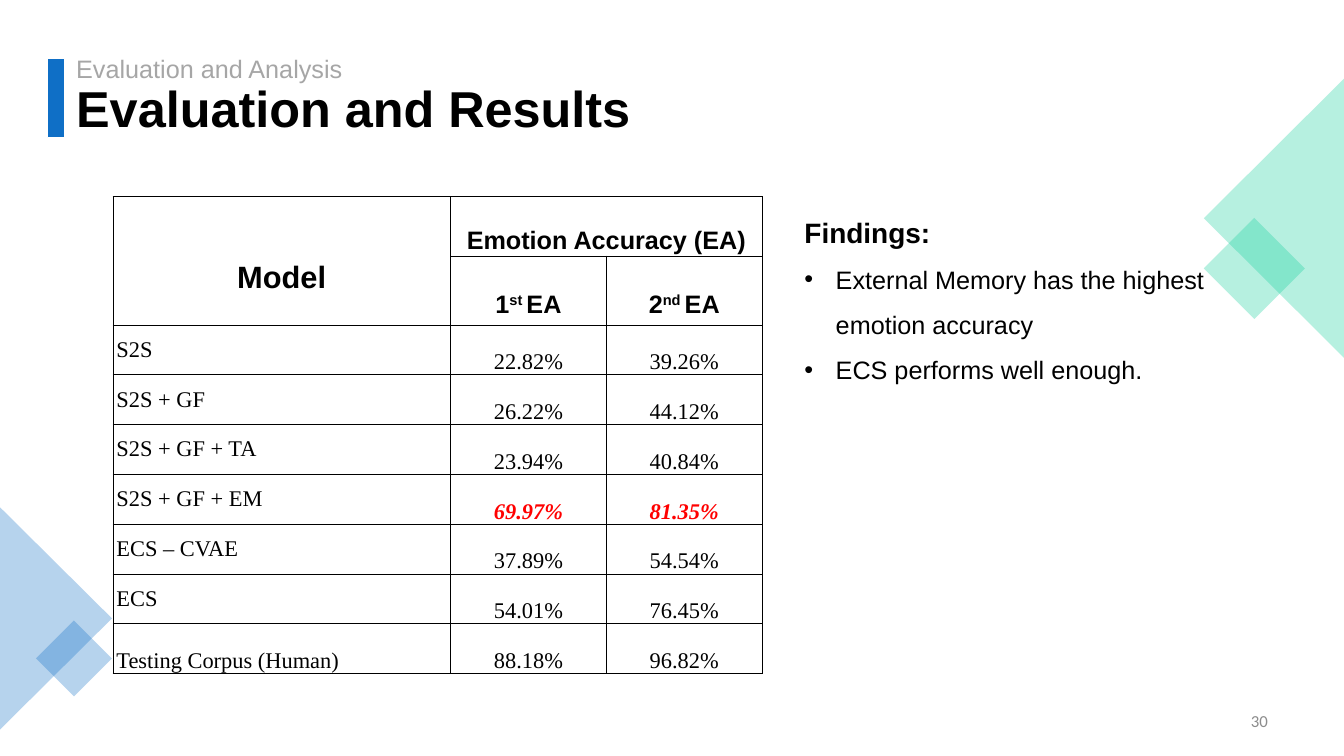
from dataclasses import dataclass

from lxml import etree
from pptx import Presentation
from pptx import util as u
from pptx.dml.color import RGBColor
from pptx.enum import shapes, text
from pptx.oxml.ns import qn


@dataclass(frozen=True)
class Theme:
    blue: str = "0F6FC6"
    green: str = "10CF9B"
    black: str = "000000"
    white: str = "FFFFFF"
    muted: str = "A6A6A6"
    faint: str = "8C8C8C"
    best: str = "FF0000"
    sans: str = "Arial"
    serif: str = "Times New Roman"
    footer: str = "Calibri"
    title: int = 72
    model: int = 44
    heading: int = 40
    body: int = 36
    data: int = 32
    number: int = 24


THEME = Theme()
CENTER, RIGHT = text.PP_ALIGN.CENTER, text.PP_ALIGN.RIGHT
MIDDLE, BOTTOM = text.MSO_ANCHOR.MIDDLE, text.MSO_ANCHOR.BOTTOM
RESULTS = [
    ("S2S", "22.82%", "39.26%"),
    ("S2S + GF", "26.22%", "44.12%"),
    ("S2S + GF + TA", "23.94%", "40.84%"),
    ("S2S + GF + EM", "69.97%", "81.35%"),
    ("ECS – CVAE", "37.89%", "54.54%"),
    ("ECS", "54.01%", "76.45%"),
    ("Testing Corpus (Human)", "88.18%", "96.82%"),
]
BEST_MODEL = "S2S + GF + EM"


@dataclass(frozen=True)
class Box:
    left: int
    top: int
    width: int
    height: int

    def share(self, left, top, width, height):
        return Box(
            int(self.left + self.width * left / 100),
            int(self.top + self.height * top / 100),
            int(self.width * width / 100),
            int(self.height * height / 100),
        )

    def centred(self, across, down, width, height):
        middle = self.share(across, down, 0, 0)
        return Box(int(middle.left - width / 2), int(middle.top - height / 2), int(width), int(height))

    def frame(self):
        return self.left, self.top, self.width, self.height


def add_span(para, words, size, color=THEME.black, font=THEME.sans, bold=False, italic=False, raised=False):
    span = para.add_run()
    span.text = words
    span.font.size = u.Pt(size)
    span.font.name = font
    span.font.bold = bold
    span.font.italic = italic
    span.font.color.rgb = RGBColor.from_string(color)
    if raised:
        span._r.get_or_add_rPr().set("baseline", "30000")


def add_block(page, kind, box, color, rotation=0, opacity=100):
    block = page.shapes.add_shape(kind, *box.frame())
    block.shadow.inherit = False
    block.rotation = rotation
    block.fill.solid()
    block.fill.fore_color.rgb = RGBColor.from_string(color)
    block.line.fill.background()
    if opacity < 100:
        tint = block._element.spPr.find(qn("a:solidFill"))[0]
        etree.SubElement(tint, qn("a:alpha")).set("val", str(opacity * 1000))
    return block


def add_header(page, box):
    title = page.shapes.title
    title.left, title.top, title.width, title.height = box.share(1.93, 0, 98.07, 100).frame()
    frame = title.text_frame
    frame.word_wrap = True
    frame.auto_size = text.MSO_AUTO_SIZE.NONE
    frame.vertical_anchor = MIDDLE
    para = frame.paragraphs[0]
    para.alignment = text.PP_ALIGN.LEFT
    para.line_spacing = 0.9
    add_span(para, "Evaluation and Analysis", THEME.body, THEME.muted)
    para.add_line_break()
    add_span(para, "Evaluation and Results", THEME.title, bold=True)
    bar = add_block(page, shapes.MSO_SHAPE.RECTANGLE, box.share(0, 18.55, 1.36, 63.31), THEME.blue)
    bar.line.color.rgb = RGBColor.from_string(THEME.white)
    bar.line.width = u.Pt(1)


def add_corner(page, box, color, rotation, across, side):
    triangle = box.centred(50, 50, box.height, box.width)
    diamond = box.centred(across, 68, box.width * side, box.width * side)
    add_block(page, shapes.MSO_SHAPE.ISOSCELES_TRIANGLE, triangle, color, rotation, 30)
    add_block(page, shapes.MSO_SHAPE.RECTANGLE, diamond, color, 45, 30)


def style_cell(cell):
    cell.margin_left = cell.margin_right = u.Inches(0.07)
    cell.margin_top = cell.margin_bottom = 0
    cell.vertical_anchor = MIDDLE
    cell.fill.background()
    props = cell._tc.get_or_add_tcPr()
    for place, side in enumerate(("a:lnL", "a:lnR", "a:lnT", "a:lnB")):
        edge = etree.Element(qn(side), w=str(u.Pt(1)))
        fill = etree.SubElement(edge, qn("a:solidFill"))
        etree.SubElement(fill, qn("a:srgbClr")).set("val", THEME.black)
        props.insert(place, edge)


def double_spaced(cell):
    para = cell.text_frame.paragraphs[0]
    para.line_spacing = 2.0
    return para


def add_results(page, box):
    table = page.shapes.add_table(len(RESULTS) + 2, 3, *box.frame()).table
    for column, share in zip(table.columns, (0.52, 0.24, 0.24)):
        column.width = int(box.width * share)
    for index, row in enumerate(table.rows):
        row.height = int(box.height * (0.128 if index < 2 else 0.744 / len(RESULTS)))
    for cell in table.iter_cells():
        style_cell(cell)
    table.cell(0, 0).merge(table.cell(1, 0))
    table.cell(0, 1).merge(table.cell(0, 2))

    headings = [
        (0, 0, THEME.model, [("Model", False)]),
        (0, 1, THEME.body, [("Emotion Accuracy (EA)", False)]),
        (1, 1, THEME.body, [("1", False), ("st ", True), ("EA", False)]),
        (1, 2, THEME.body, [("2", False), ("nd ", True), ("EA", False)]),
    ]
    for row, column, size, spans in headings:
        para = double_spaced(table.cell(row, column))
        para.alignment = CENTER
        for words, raised in spans:
            add_span(para, words, size, bold=True, raised=raised)

    for row, (model, *scores) in enumerate(RESULTS, 2):
        name = table.cell(row, 0)
        if model == RESULTS[-1][0]:
            name.vertical_anchor = BOTTOM
            double_spaced(name)
        add_span(name.text_frame.paragraphs[0], model, THEME.data, font=THEME.serif)
        best = model == BEST_MODEL
        for column, score in enumerate(scores, 1):
            cell = table.cell(row, column)
            cell.vertical_anchor = BOTTOM
            para = double_spaced(cell)
            para.alignment = CENTER
            color = THEME.best if best else THEME.black
            add_span(para, score, THEME.data, color, THEME.serif, best, best)


def add_findings(page, box):
    frame = page.shapes.add_textbox(*box.frame()).text_frame
    frame.word_wrap = True
    para = frame.paragraphs[0]
    para.line_spacing = 1.5
    add_span(para, "Findings:", THEME.heading, bold=True)
    for finding in ("External Memory has the highest emotion accuracy", "ECS performs well enough."):
        para = frame.add_paragraph()
        para.line_spacing = 1.5
        props = para._p.get_or_add_pPr()
        props.set("marL", str(u.Inches(0.62)))
        props.set("indent", str(-u.Inches(0.62)))
        etree.SubElement(props, qn("a:buFont")).set("typeface", THEME.sans)
        etree.SubElement(props, qn("a:buChar")).set("char", "•")
        add_span(para, finding, THEME.body)


def add_page_number(page, box):
    frame = page.shapes.add_textbox(*box.frame()).text_frame
    frame.word_wrap = True
    frame.vertical_anchor = MIDDLE
    para = frame.paragraphs[0]
    para.alignment = RIGHT
    para.space_after = u.Pt(6)
    add_span(para, "30", THEME.number, THEME.faint, THEME.footer)


def main():
    deck = Presentation()
    deck.slide_width, deck.slide_height = u.Inches(26.66), u.Inches(15)
    page = deck.slides.add_slide(deck.slide_layouts.get_by_name("Title Only"))
    whole = Box(0, 0, deck.slide_width, deck.slide_height)
    add_header(page, whole.share(3.53, 4.67, 91.22, 16.53))
    add_results(page, whole.share(8.4, 26, 48.31, 61.47))
    add_corner(page, whole.share(89.57, 10.4, 10.43, 36.93), THEME.green, 270, 36, 0.51)
    add_corner(page, whole.share(0, 67.1, 8.33, 29.4), THEME.blue, 90, 66, 0.48)
    add_page_number(page, whole.share(72.2, 92.67, 22.51, 5.33))
    add_findings(page, whole.share(59.49, 25.93, 35.22, 24.8))
    deck.save("out.pptx")


if __name__ == "__main__":
    main()
